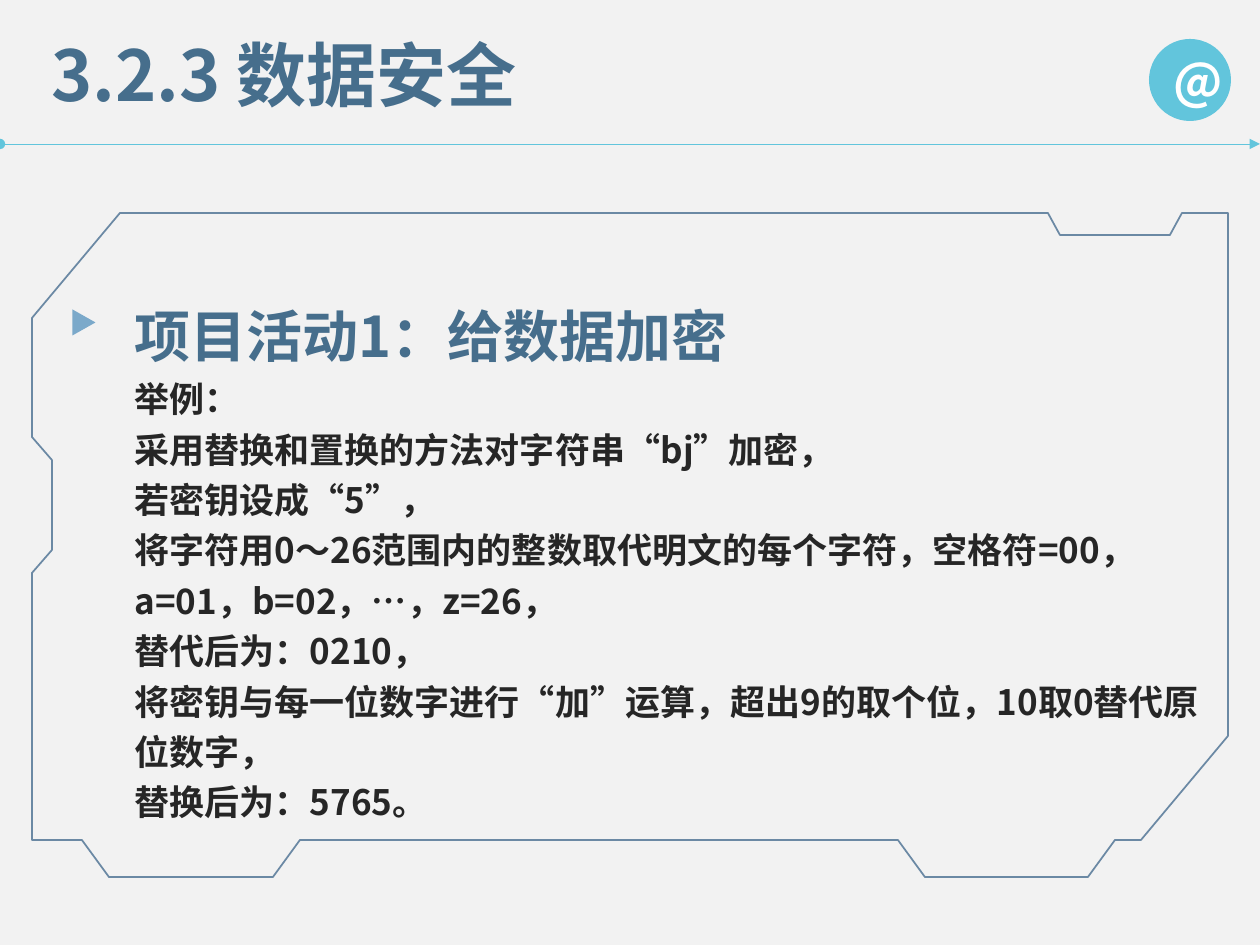
from lxml import etree
from pptx import Presentation, util as u
from pptx.dml.color import RGBColor
from pptx.enum import shapes, text
from pptx.oxml import ns

PX = 914400 / 126
FONT = "Noto Sans CJK SC"
PAPER = RGBColor(0xF2, 0xF2, 0xF2)
WHITE = RGBColor(0xFF, 0xFF, 0xFF)
CYAN = RGBColor(0x62, 0xC5, 0xDC)
STEEL = RGBColor(0x46, 0x6E, 0x8C)
SKY = RGBColor(0x7B, 0xA9, 0xCA)
NAVY = RGBColor(0x1F, 0x4E, 0x79)
INK = RGBColor(0x26, 0x26, 0x26)

TITLE = "3.2.3 数据安全"
HEADING = "项目活动1：给数据加密"
EXAMPLE = [
    "举例：",
    "采用替换和置换的方法对字符串“bj”加密，",
    "若密钥设成“5”，",
    "将字符用0～26范围内的整数取代明文的每个字符，空格符=00，a=01，b=02，…，z=26，",
    "替代后为：0210，",
    "将密钥与每一位数字进行“加”运算，超出9的取个位，10取0替代原位数字，",
    "替换后为：5765。",
]
FRAME = [
    (893, 664), (1056, 664), (1083, 627), (1109, 627), (1196, 523), (1196, 0),
    (1150, 0), (1138, 22), (1028, 22), (1016, 0), (88, 0), (0, 105),
    (0, 224), (20, 247), (20, 337), (0, 360), (0, 627), (50, 627),
    (77, 664), (241, 664), (268, 627), (866, 627),
]


def px(*lengths):
    return [u.Emu(round(n * PX)) for n in lengths]


def sub(parent, tag, **attrs):
    return etree.SubElement(parent, ns.qn(tag), attrs)


def style(tf, size, color, spacing=None):
    for p in tf.paragraphs:
        p.line_spacing = spacing
        for r in p.runs:
            r.font.size, r.font.bold, r.font.name = u.Pt(size), True, FONT
            r.font.color.rgb = color
            sub(r.font._element, "a:ea", typeface=FONT)


def add_text(s, box, content, size, color, spacing=None):
    tf = s.shapes.add_textbox(*px(*box)).text_frame
    tf.word_wrap = True
    tf.auto_size = text.MSO_AUTO_SIZE.SHAPE_TO_FIT_TEXT
    tf.text = content
    style(tf, size, color, spacing)


def add_filled(s, kind, box, color):
    sp = s.shapes.add_shape(kind, *px(*box))
    sp.shadow.inherit = False
    sp.fill.solid()
    sp.fill.fore_color.rgb = color
    sp.line.fill.background()
    return sp


def add_header(s, x, y, w, h):
    add_text(s, (x + 39, y + 25, 869, 97), TITLE, 40, STEEL)

    rule = s.shapes.add_connector(shapes.MSO_CONNECTOR.STRAIGHT, *px(x, y + h, x + w, y + h))
    rule.line.color.rgb = CYAN
    rule.line.width = u.Pt(0.5)
    ln = rule.line._get_or_add_ln()
    sub(ln, "a:headEnd", type="oval")
    sub(ln, "a:tailEnd", type="triangle")
    sub(rule._element.spPr, "a:effectLst")

    badge = add_filled(s, shapes.MSO_SHAPE.OVAL, (x + w - 111, y + 39, 82, 82), CYAN)
    tf = badge.text_frame
    tf.text = "@"
    tf.vertical_anchor = text.MSO_ANCHOR.MIDDLE
    tf.paragraphs[0].alignment = text.PP_ALIGN.CENTER
    style(tf, 28, WHITE)


def add_activity(s, x, y, w, h):
    add_text(s, (x + 90, y + 49, 784, 102), HEADING, 32, STEEL, 1.5)
    add_text(s, (x + 90, y + 150, 1116, 470), "\n".join(EXAMPLE), 20, INK, 1.2)
    marker = add_filled(s, shapes.MSO_SHAPE.ISOSCELES_TRIANGLE, (x + 39, y + 98, 26, 23), SKY)
    marker.rotation = 90

    points = [(x + dx, y + dy) for dx, dy in FRAME]
    fb = s.shapes.build_freeform(*points[0], scale=PX)
    fb.add_line_segments(points[1:], close=True)
    frame = fb.convert_to_shape()
    frame.shadow.inherit = False
    frame.fill.background()
    frame.line.color.rgb = NAVY
    frame.line.width = u.Pt(1)
    color = frame.line._get_or_add_ln().find(".//" + ns.qn("a:srgbClr"))
    sub(color, "a:alpha", val="64000")


def main():
    prs = Presentation()
    prs.slide_width, prs.slide_height = px(1260, 945)
    s = prs.slides.add_slide(prs.slide_layouts[6])
    s.background.fill.solid()
    s.background.fill.fore_color.rgb = PAPER
    add_header(s, 0, 0, 1260, 144)
    add_activity(s, 32, 213, 1196, 664)
    prs.save("out.pptx")


if __name__ == "__main__":
    main()
